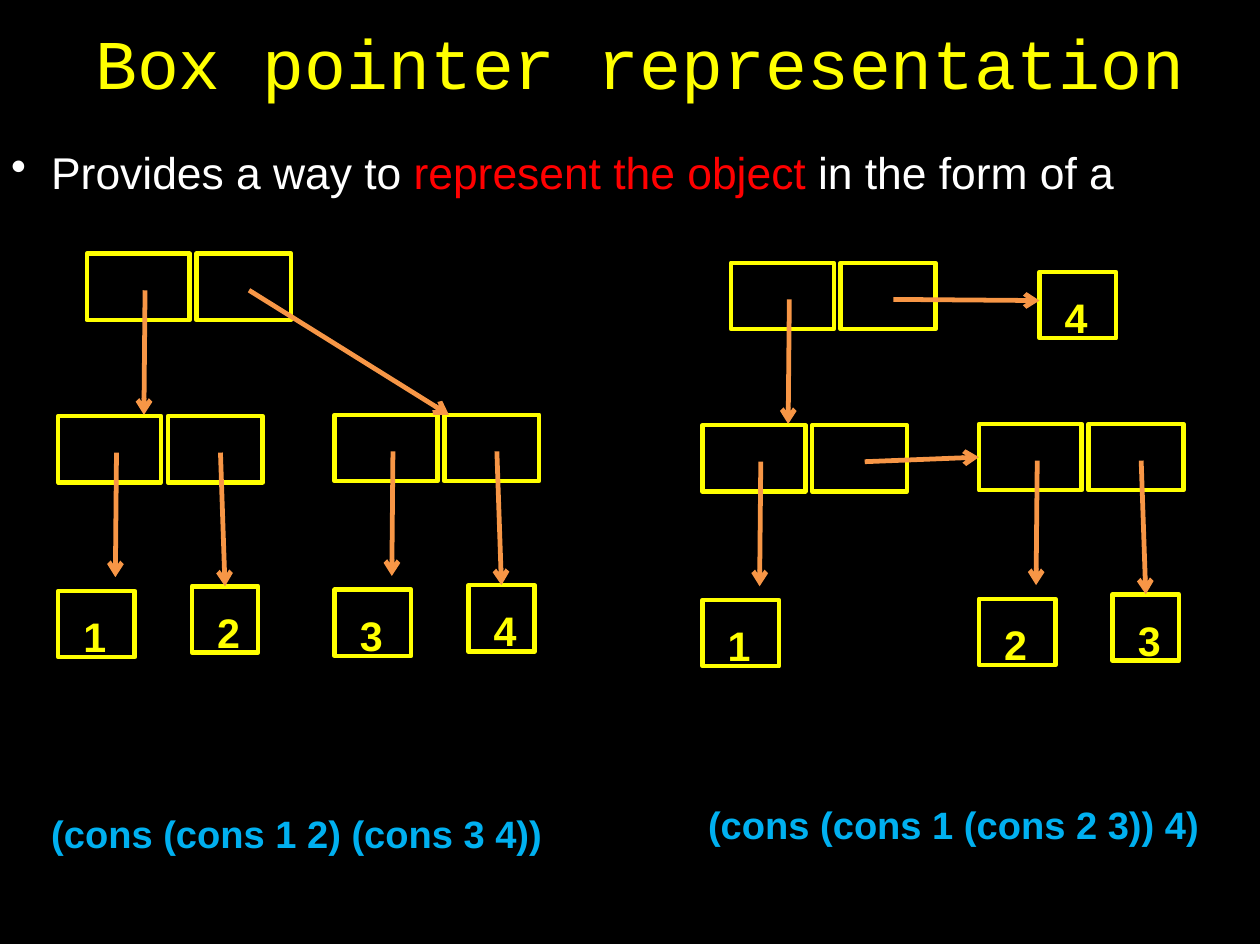
from dataclasses import dataclass
from typing import Any, NamedTuple

from lxml.etree import SubElement
from pptx import Presentation
from pptx.dml.color import RGBColor
from pptx.enum.shapes import MSO_CONNECTOR, MSO_SHAPE
from pptx.enum.text import MSO_ANCHOR, PP_ALIGN
from pptx.oxml.ns import qn
from pptx.shapes.autoshape import Shape
from pptx.slide import Slide
from pptx.util import Inches, Pt


class Point(NamedTuple):
    x: float
    y: float

    def shifted(self, offset: "Point") -> "Point":
        return Point(self.x + offset.x, self.y + offset.y)


class Run(NamedTuple):
    text: str
    color: RGBColor


@dataclass(frozen=True)
class Theme:
    background: RGBColor = RGBColor(0, 0, 0)
    yellow: RGBColor = RGBColor(255, 255, 0)
    orange: RGBColor = RGBColor(0xF7, 0x96, 0x46)
    red: RGBColor = RGBColor(255, 0, 0)
    white: RGBColor = RGBColor(255, 255, 255)
    blue: RGBColor = RGBColor(0, 0xB0, 0xF0)
    body_font: str = "Arial"
    title_font: str = "Courier New"
    title_size: int = 44
    body_size: int = 28
    atom_size: int = 26
    code_size: int = 24
    box_line: float = 2.83
    arrow_line: float = 3


@dataclass(frozen=True)
class Atom:
    text: str
    pair: str
    offset: Point
    width: float


@dataclass(frozen=True)
class Link:
    pair: str
    end: Point = Point(0, 0)
    target: str = ""
    site: int = 0


@dataclass(frozen=True)
class Tree:
    origin: Point
    atoms: tuple[Atom, ...]
    cdr_links: tuple[Link, ...]


@dataclass(frozen=True)
class TextLine:
    position: Point
    width: float
    height: float
    runs: tuple[Run, ...]
    size: int
    font: str
    bold: bool = False
    alignment: PP_ALIGN = PP_ALIGN.LEFT
    bullet: bool = False


THEME = Theme()
BOX_HEIGHT = 0.58
CELLS = {"car": (0, 0.9), "cdr": (0.96, 0.83)}
CAR_START, CAR_END = Point(0.51, 0.32), Point(0.5, 1.41)
CDR_START = Point(1.42, 0.32)
CAR_ATOM, CDR_ATOM = Point(0, 1.53), Point(1.17, 1.49)
WIDE, NARROW = 0.67, 0.58
TOP, LEFT = 0, 1
PAIRS = {"root": Point(0.76, 2.22), "first": Point(0.51, 3.64), "second": Point(2.93, 3.63)}

TREES = (
    Tree(
        Point(0, 0),
        (
            Atom("1", "first", CAR_ATOM, WIDE),
            Atom("2", "first", CDR_ATOM, NARROW),
            Atom("3", "second", CAR_ATOM, WIDE),
            Atom("4", "second", CDR_ATOM, NARROW),
        ),
        (
            Link("root", end=Point(3.17, 1.41)),
            Link("first", target="2", site=TOP),
            Link("second", target="4", site=TOP),
        ),
    ),
    Tree(
        Point(5.64, 0.08),
        (
            Atom("1", "first", CAR_ATOM, WIDE),
            Atom("2", "second", CAR_ATOM, WIDE),
            Atom("3", "second", CDR_ATOM, NARROW),
            Atom("4", "root", Point(2.7, 0.08), WIDE),
        ),
        (
            Link("root", end=Point(2.7, 0.33)),
            Link("first", target="second car", site=LEFT),
            Link("second", target="3", site=TOP),
        ),
    ),
)

TEXT_LINES = (
    TextLine(Point(0.18, 0.12), 10.85, 0.76, (Run("Box pointer representation", THEME.yellow),),
             THEME.title_size, THEME.title_font, alignment=PP_ALIGN.CENTER),
    TextLine(Point(0, 1.22), 11.03, 0.57,
             (Run("Provides a way to ", THEME.white),
              Run("represent the object ", THEME.red),
              Run("in the form of a", THEME.white)),
             THEME.body_size, THEME.body_font, bullet=True),
    TextLine(Point(0.35, 7.04), 4.58, 0.5, (Run("(cons (cons 1 2) (cons 3 4))", THEME.blue),),
             THEME.code_size, THEME.body_font, bold=True),
    TextLine(Point(6.1, 6.96), 4.51, 0.5, (Run("(cons (cons 1 (cons 2 3)) 4)", THEME.blue),),
             THEME.code_size, THEME.body_font, bold=True),
)


def apply_format(target: Any, values: dict[str, Any]) -> None:
    for name, value in values.items():
        setattr(target, name, value)


def add_run(paragraph: Any, run: Run, size: int, font: str, bold: bool) -> None:
    text_run = paragraph.add_run()
    text_run.text = run.text
    apply_format(text_run.font, {"size": Pt(size), "name": font, "bold": bold})
    text_run.font.color.rgb = run.color


def add_text_line(slide: Slide, line: TextLine) -> None:
    shape = slide.shapes.add_textbox(*map(Inches, (*line.position, line.width, line.height)))
    shape.text_frame.word_wrap = True
    paragraph = shape.text_frame.paragraphs[0]
    paragraph.alignment = line.alignment
    if line.bullet:
        properties = paragraph._p.get_or_add_pPr()
        properties.set("marL", str(Inches(0.35)))
        properties.set("indent", str(Inches(-0.35)))
        SubElement(properties, qn("a:buChar")).set("char", "•")
    for run in line.runs:
        add_run(paragraph, run, line.size, line.font, line.bold)


def add_box(slide: Slide, position: Point, width: float, text: str = "") -> Shape:
    shape = slide.shapes.add_shape(MSO_SHAPE.RECTANGLE, *map(Inches, (*position, width, BOX_HEIGHT)))
    shape.shadow.inherit = False
    shape.fill.solid()
    shape.fill.fore_color.rgb = THEME.background
    shape.line.color.rgb = THEME.yellow
    shape.line.width = Pt(THEME.box_line)
    if text:
        apply_format(shape.text_frame, {
            "margin_left": Inches(0.22), "margin_top": Inches(0.18),
            "margin_right": 0, "margin_bottom": 0,
            "vertical_anchor": MSO_ANCHOR.TOP, "word_wrap": True,
        })
        paragraph = shape.text_frame.paragraphs[0]
        paragraph.alignment = PP_ALIGN.LEFT
        add_run(paragraph, Run(text, THEME.yellow), THEME.atom_size, THEME.body_font, True)
    return shape


def add_arrow(slide: Slide, start: Point, end: Point, target: Shape | None = None, site: int = TOP) -> None:
    connector = slide.shapes.add_connector(MSO_CONNECTOR.STRAIGHT, *map(Inches, (*start, *end)))
    connector.line.color.rgb = THEME.orange
    connector.line.width = Pt(THEME.arrow_line)
    SubElement(connector.line._get_or_add_ln(), qn("a:tailEnd")).set("type", "arrow")
    SubElement(connector._element.spPr, qn("a:effectLst"))
    if target is not None:
        connector.end_connect(target, site)


def draw_tree(slide: Slide, tree: Tree) -> None:
    pairs = {name: corner.shifted(tree.origin) for name, corner in PAIRS.items()}
    boxes: dict[str, Shape] = {}
    for name, corner in pairs.items():
        for cell, (left, width) in CELLS.items():
            boxes[f"{name} {cell}"] = add_box(slide, corner.shifted(Point(left, 0)), width)
    for atom in tree.atoms:
        boxes[atom.text] = add_box(slide, pairs[atom.pair].shifted(atom.offset), atom.width, atom.text)
    for corner in pairs.values():
        add_arrow(slide, corner.shifted(CAR_START), corner.shifted(CAR_END))
    for link in tree.cdr_links:
        corner = pairs[link.pair]
        add_arrow(slide, corner.shifted(CDR_START), corner.shifted(link.end), boxes.get(link.target), link.site)


def main() -> None:
    presentation = Presentation()
    apply_format(presentation, {"slide_width": Inches(11.03), "slide_height": Inches(8.26)})
    slide = presentation.slides.add_slide(presentation.slide_layouts[6])
    slide.background.fill.solid()
    slide.background.fill.fore_color.rgb = THEME.background
    for line in TEXT_LINES:
        add_text_line(slide, line)
    for tree in TREES:
        draw_tree(slide, tree)
    presentation.save("out.pptx")


if __name__ == "__main__":
    main()
